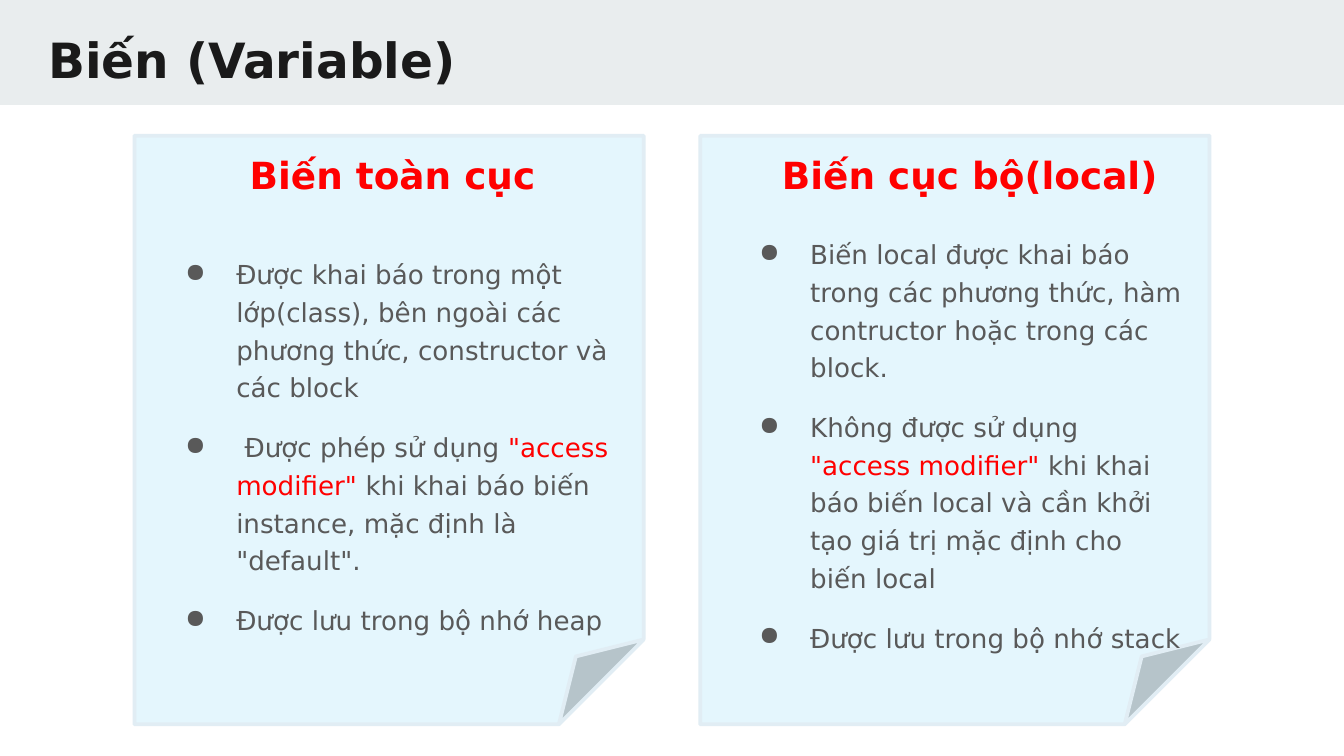
from lxml.etree import SubElement
from pptx import Presentation
from pptx.dml.color import RGBColor
from pptx.enum.shapes import MSO_SHAPE
from pptx.oxml.ns import qn
from pptx.util import Inches, Pt

FONT = "DejaVu Sans"
COLORS = {
    "band": "E9EDEE",
    "note": "E4F6FD",
    "edge": "E1EDF4",
    "title": "1A1A1A",
    "text": "595959",
    "accent": "FF0000",
}

# Each bullet is a list of (text, colour) runs
NOTES = [
    {
        "left": 1, "heading": "Biến toàn cục", "heading_left": 1.76,
        "body_at": (1.16, 1.78),
        "bullets": [
            [("Được khai báo trong một lớp(class), bên ngoài các phương thức, "
              "constructor và các block", "text")],
            [(" Được phép sử dụng ", "text"), ('"access modifier" ', "accent"),
             ('khi khai báo biến instance, mặc định là "default".', "text")],
            [("Được lưu trong bộ nhớ heap", "text")],
        ],
    },
    {
        "left": 5.21, "heading": "Biến cục bộ(local)", "heading_left": 5.72,
        "body_at": (5.43, 1.63),
        "bullets": [
            [("Biến local được khai báo trong các phương thức, hàm contructor "
              "hoặc trong các block.", "text")],
            [("Không được sử dụng ", "text"), ('"access modifier" ', "accent"),
             ("khi khai báo biến local và cần khởi tạo giá trị mặc định cho "
              "biến local", "text")],
            [("Được lưu trong bộ nhớ stack", "text")],
        ],
    },
]

# Widescreen 16:9 page
deck = Presentation()
deck.slide_width = Inches(10)
deck.slide_height = Inches(10 * 9 / 16)
page = deck.slides.add_slide(deck.slide_layouts[6])


def add_text_frame(left, top, width, height):
    frame = page.shapes.add_textbox(
        Inches(left), Inches(top), Inches(width), Inches(height)).text_frame
    frame.word_wrap = True
    frame.margin_left = frame.margin_right = Inches(0.1)
    frame.margin_top = frame.margin_bottom = Inches(0.1)
    return frame


def add_span(para, text, size, color, bold=False):
    span = para.add_run()
    span.text = text
    span.font.name = FONT
    span.font.size = Pt(size)
    span.font.bold = bold
    span.font.color.rgb = RGBColor.from_string(COLORS[color])


# Title band
band = page.shapes.add_shape(MSO_SHAPE.RECTANGLE, 0, 0, Inches(10), Inches(0.78))
band.shadow.inherit = False
band.fill.solid()
band.fill.fore_color.rgb = RGBColor.from_string(COLORS["band"])
band.line.fill.background()
title = add_text_frame(0.26, 0.12, 9.52, 0.59)
add_span(title.paragraphs[0], "Biến (Variable)", 26, "title", True)

for note in NOTES:
    # Sheet with folded corner
    sheet = page.shapes.add_shape(
        MSO_SHAPE.FOLDED_CORNER,
        Inches(note["left"]), Inches(1.01), Inches(3.79), Inches(4.38))
    sheet.shadow.inherit = False
    sheet.fill.solid()
    sheet.fill.fore_color.rgb = RGBColor.from_string(COLORS["note"])
    sheet.line.color.rgb = RGBColor.from_string(COLORS["edge"])
    sheet.line.width = Pt(2)

    # Heading
    heading = add_text_frame(note["heading_left"], 1.03, 3.03, 0.59)
    add_span(heading.paragraphs[0], note["heading"], 20, "accent", True)

    # Bulleted body
    body = add_text_frame(*note["body_at"], 3.47, 3.44)
    for index, bullet in enumerate(note["bullets"]):
        para = body.add_paragraph() if index else body.paragraphs[0]
        para.line_spacing = 1.2
        para.space_before = para.space_after = Pt(6)
        properties = para._p.get_or_add_pPr()
        properties.set("marL", str(Inches(0.5)))
        properties.set("indent", str(Inches(-0.38)))
        bullet_color = SubElement(properties, qn("a:buClr"))
        SubElement(bullet_color, qn("a:srgbClr"), val=COLORS["text"])
        SubElement(properties, qn("a:buChar"), char="●")
        for text, color in bullet:
            add_span(para, text, 14, color)

deck.save("out.pptx")
